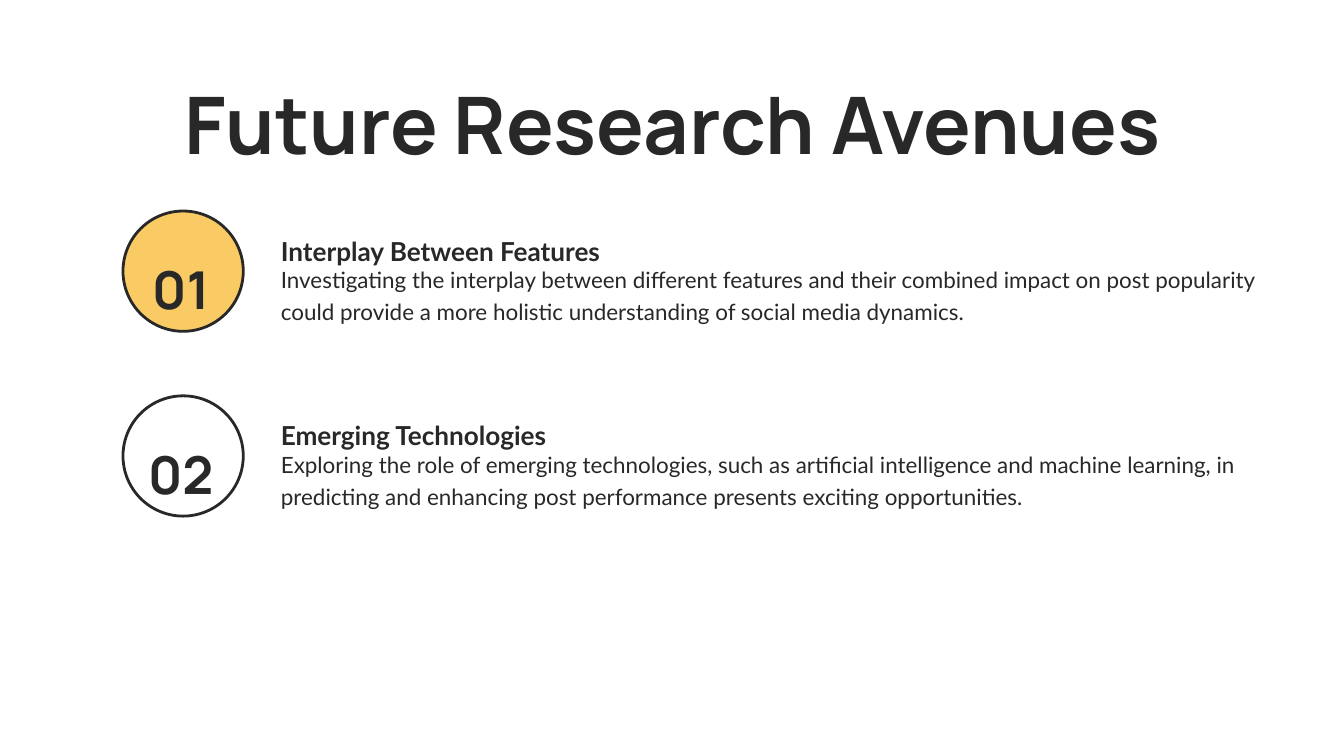
from dataclasses import dataclass

from pptx import Presentation
from pptx.dml.color import RGBColor
from pptx.enum.shapes import MSO_SHAPE
from pptx.enum.text import MSO_ANCHOR, MSO_AUTO_SIZE, PP_ALIGN
from pptx.util import Inches, Pt

OVAL = MSO_SHAPE.OVAL
TOP = MSO_ANCHOR.TOP
FIXED = MSO_AUTO_SIZE.NONE
LEFT, CENTER = PP_ALIGN.LEFT, PP_ALIGN.CENTER


@dataclass(frozen=True)
class Style:
    font: str
    size: float
    bold: bool
    lead: float
    align: PP_ALIGN


@dataclass(frozen=True)
class Theme:
    ink: RGBColor = RGBColor(0x28, 0x28, 0x28)
    gold: RGBColor = RGBColor(0xFA, 0xCB, 0x65)
    white: RGBColor = RGBColor(0xFF, 0xFF, 0xFF)
    line: float = 3
    title: Style = Style("Manrope", 85, True, 1.28, CENTER)
    number: Style = Style("Manrope", 55.9, True, 1.28, CENTER)
    head: Style = Style("Lato", 28, True, 1.68, LEFT)
    body: Style = Style("Lato", 24, False, 1.2, LEFT)


THEME = Theme()
WIDE, HIGH = 20, 11.25
DISC_X, NUM_X, TEXT_X = 1.83, 2.1, 4.18
DISC = 1.79
TEXT_W = 14.57
ROW_Y, ROW_H = 3.14, 2.75

AVENUES = [
    (
        "01",
        THEME.gold,
        "Interplay Between Features",
        "Investigating the interplay between different features and their "
        "combined impact on post popularity could provide a more holistic "
        "understanding of social media dynamics.",
    ),
    (
        "02",
        THEME.white,
        "Emerging Technologies",
        "Exploring the role of emerging technologies, such as artificial "
        "intelligence and machine learning, in predicting and enhancing post "
        "performance presents exciting opportunities.",
    ),
]


def write(shape, text, style):
    frame = shape.text_frame
    frame.word_wrap = True
    frame.auto_size = FIXED
    frame.vertical_anchor = TOP
    frame.margin_left = frame.margin_right = 0
    frame.margin_top = frame.margin_bottom = 0
    para = frame.paragraphs[0]
    para.alignment = style.align
    para.line_spacing = style.lead
    run = para.add_run()
    run.text = text
    run.font.name = style.font
    run.font.size = Pt(style.size)
    run.font.bold = style.bold
    run.font.color.rgb = THEME.ink


def add_title(slide, text):
    title = slide.shapes.title
    title.left, title.top = 0, Inches(0.72)
    title.width, title.height = Inches(WIDE), Inches(1.83)
    write(title, text, THEME.title)


def add_text(slide, x, y, w, h, text, style):
    box = slide.shapes.add_textbox(Inches(x), Inches(y), Inches(w), Inches(h))
    write(box, text, style)


def add_disc(slide, y, fill):
    disc = slide.shapes.add_shape(
        OVAL, Inches(DISC_X), Inches(y), Inches(DISC), Inches(DISC)
    )
    disc.shadow.inherit = False
    disc.fill.solid()
    disc.fill.fore_color.rgb = fill
    disc.line.color.rgb = THEME.ink
    disc.line.width = Pt(THEME.line)


def add_row(slide, row, number, fill, head, body):
    y = ROW_Y + row * ROW_H
    add_text(slide, TEXT_X, y + 0.04, TEXT_W, 0.79, head, THEME.head)
    add_text(slide, TEXT_X, y + 0.74, TEXT_W, 0.97, body, THEME.body)
    add_disc(slide, y, fill)
    add_text(slide, NUM_X, y + 0.43, 1.18, 0.94, number, THEME.number)


def main():
    deck = Presentation()
    deck.slide_width, deck.slide_height = Inches(WIDE), Inches(HIGH)
    slide = deck.slides.add_slide(deck.slide_layouts[5])
    add_title(slide, "Future Research Avenues")
    for row, avenue in enumerate(AVENUES):
        add_row(slide, row, *avenue)
    deck.save("out.pptx")


if __name__ == "__main__":
    main()
